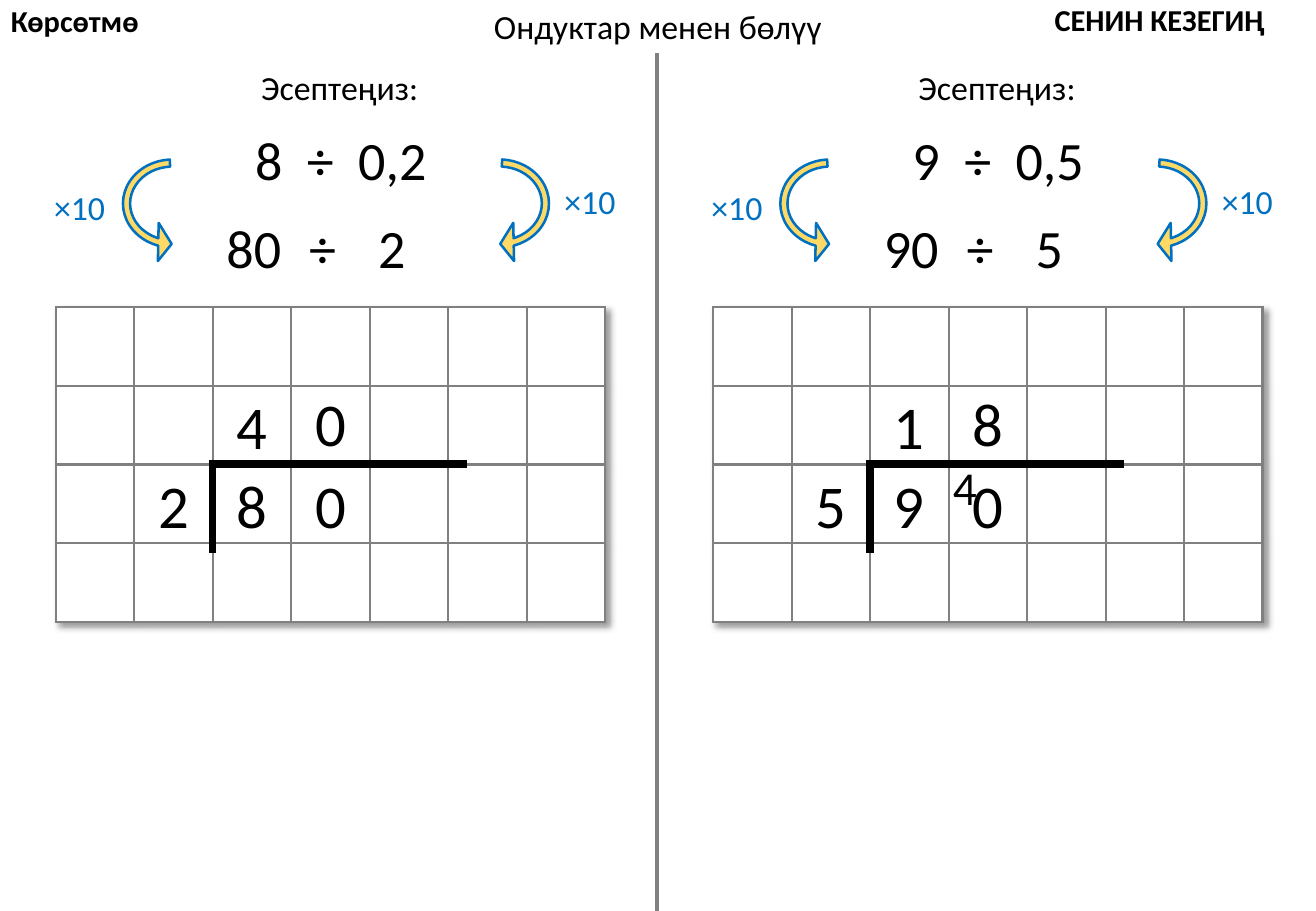
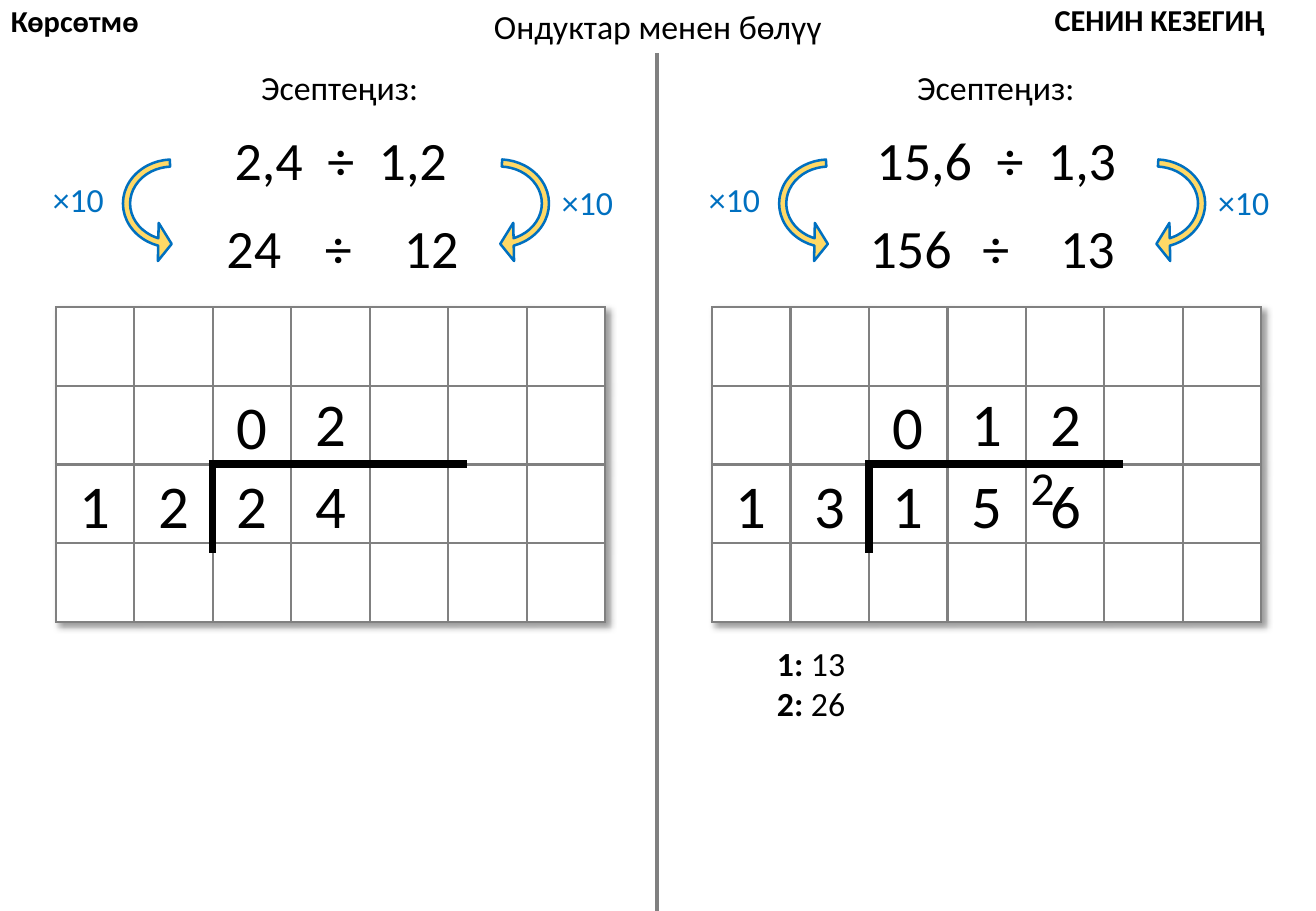
from dataclasses import dataclass

from lxml import etree
from pptx import Presentation
from pptx import util as u
from pptx.dml.color import RGBColor
from pptx.enum import shapes, text as t
from pptx.oxml import parse_xml
from pptx.oxml.ns import nsdecls, qn

PX = 9144  # one hundredth of an inch
BLACK = RGBColor(0, 0, 0)
WHITE = RGBColor(255, 255, 255)
GREY = RGBColor(0x80, 0x80, 0x80)
BLUE = RGBColor(0x00, 0x70, 0xC0)
GOLD = RGBColor(0xFF, 0xD9, 0x66)
FONT = "Calibri"

# Squared grid, relative to its half of the page
COLS, ROWS = 7, 4
GRID_X, GRID_Y, GRID_W, GRID_H = 46, 253, 452, 259
DIGIT_W = 46
BAR_COL = 2  # first column under the division bar
BEND = (0.06, 11.42, 203.85, 110.16, 0.16)
TERM_W = {1: 43, 2: 66, 3: 89}  # box width by number of digits


@dataclass(frozen=True)
class Run:
    text: str
    bold: bool = False
    gap: int = 0  # extra letter spacing, hundredths of a point


@dataclass(frozen=True)
class Half:
    left: int
    sum: str
    width: int  # of the sum's box
    over: str  # dividend
    by: str  # divisor
    quot: str
    terms: tuple[int, int, int]  # lefts of dividend, sign and divisor
    tags: tuple[tuple[int, int], tuple[int, int]]  # places of the x10 labels
    carry: tuple[str, int] | None = None  # digit and column
    facts: tuple[tuple[Run, ...], ...] = ()


TAGS_1 = ((34, 149), (454, 144))
TAGS_2 = ((33, 142), (452, 145))
PAGES = (
    (
        Half(0, "8 ÷ 0,2", 163, "80", "2", "40", (176, 244, 301), TAGS_1),
        Half(541, "9 ÷ 0,5", 163, "90", "5", "18", (176, 244, 301), TAGS_1,
             carry=("4", 3)),
    ),
    (
        Half(0, "2,4 ÷ 1,2", 197, "24", "12", "02", (176, 257, 322), TAGS_2),
        Half(540, "15,6 ÷ 1,3", 220, "156", "13", "012", (165, 258, 322), TAGS_2,
             carry=("2", 4),
             facts=((Run("1:", True), Run(" 13")), (Run("2:", True), Run(" 26")))),
    ),
)


def text(slide, words, x: int, y: int, w: int, h: int, *, size: int = 20,
         color: RGBColor = BLACK, bold: bool = False, align=t.PP_ALIGN.CENTER) -> None:
    """Write a string, or a sequence of paragraphs made of runs."""
    frame = slide.shapes.add_textbox(x * PX, y * PX, w * PX, h * PX).text_frame
    frame.word_wrap = False
    frame.auto_size = t.MSO_AUTO_SIZE.SHAPE_TO_FIT_TEXT
    paras = ((Run(words, bold),),) if isinstance(words, str) else words
    for i, runs in enumerate(paras):
        para = frame.add_paragraph() if i else frame.paragraphs[0]
        para.alignment = align
        for item in runs:
            run = para.add_run()
            run.text = item.text
            font = run.font
            font.name, font.size, font.bold = FONT, u.Pt(size), item.bold
            font.color.rgb = color
            if item.gap:
                run._r.get_or_add_rPr().set("spc", str(item.gap))


def line(slide, x1: int, y1: int, x2: int, y2: int, color: RGBColor, width: float) -> None:
    rule = slide.shapes.add_connector(
        shapes.MSO_CONNECTOR.STRAIGHT, x1 * PX, y1 * PX, x2 * PX, y2 * PX)
    rule.line.color.rgb = color
    rule.line.width = u.Pt(width)
    etree.SubElement(rule._element.spPr, qn("a:effectLst"))


def arrow(slide, x: int, flip: bool) -> None:
    bow = slide.shapes.add_shape(
        shapes.MSO_SHAPE.CIRCULAR_ARROW, x * PX, 114 * PX, 98 * PX, 107 * PX)
    for i, value in enumerate(BEND):
        bow.adjustments[i] = value
    bow.rotation = 90
    if flip:
        bow._element.spPr.find(qn("a:xfrm")).set("flipV", "1")
    bow.shadow.inherit = False
    bow.fill.solid()
    bow.fill.fore_color.rgb = GOLD
    bow.line.color.rgb = BLUE
    bow.line.width = u.Pt(1.5)


def grid(slide, left: int) -> None:
    table = slide.shapes.add_table(
        ROWS, COLS, (left + GRID_X) * PX, GRID_Y * PX, GRID_W * PX, GRID_H * PX).table
    table.first_row = table.horz_banding = False
    table._tbl.tblPr.insert(0, parse_xml(
        f'<a:effectLst {nsdecls("a")}><a:outerShdw blurRad="50800" dist="38100" '
        'dir="2700000" algn="tl" rotWithShape="0"><a:srgbClr val="000000">'
        '<a:alpha val="40000"/></a:srgbClr></a:outerShdw></a:effectLst>'))
    for cell in table.iter_cells():
        cell.fill.solid()
        cell.fill.fore_color.rgb = WHITE
        props = cell._tc.get_or_add_tcPr()
        for i, side in enumerate("LRTB"):
            props.insert(i, parse_xml(
                f'<a:ln{side} {nsdecls("a")} w="{u.Pt(1.5)}"><a:solidFill>'
                f'<a:srgbClr val="{GREY}"/></a:solidFill></a:ln{side}>'))


def col_x(col: int) -> int:
    """Left of a digit box centred in a grid column."""
    return round(GRID_X + GRID_W / COLS * (col + 0.5) - DIGIT_W / 2)


def digits(slide, left: int, number: str, first: int, y: int) -> None:
    for col, digit in enumerate(number, first):
        text(slide, digit, left + col_x(col), y, DIGIT_W, 71, size=36)


def half(slide, h: Half) -> None:
    left = h.left
    # Long division
    grid(slide, left)
    line(slide, left + 172, 382, left + 384, 382, BLACK, 4.5)
    line(slide, left + 175, 381, left + 175, 455, BLACK, 4.5)
    digits(slide, left, h.by, BAR_COL - len(h.by), 380)
    digits(slide, left, h.over, BAR_COL, 380)
    digits(slide, left, h.quot[0], BAR_COL, 315)
    digits(slide, left, h.quot[1:], BAR_COL + 1, 313)
    if h.carry:
        digit, col = h.carry
        text(slide, digit, left + col_x(col) - 16, 372, 40, 57, size=28)
    # Sum and its whole-number form
    text(slide, "Эсептеңиз:", left + 204, 50, 151, 44)
    first, sign, last = h.sum.split()
    wide = Run(" ", gap=720)
    text(slide, ((Run(first), wide, Run(sign), wide, Run(last)),),
         left + 280 - h.width // 2, 99, h.width, 64, size=32)
    for term, x in zip((h.over, sign, h.by), h.terms):
        text(slide, term, left + x, 172, TERM_W[len(term)], 64, size=32)
    # Arrows with their labels
    arrow(slide, left + 362, False)
    arrow(slide, left + 93, True)
    for x, y in h.tags:
        text(slide, "×10", left + x, y, 63, 44, color=BLUE)
    if h.facts:
        text(slide, h.facts, left + 89, 524, 77, 77)


def main() -> None:
    deck = Presentation()
    deck.slide_width, deck.slide_height = 1083 * PX, 750 * PX
    for page in PAGES:
        slide = deck.slides.add_slide(deck.slide_layouts[6])
        # Shared heading and divider
        line(slide, 541, 44, 541, 750, GREY, 2.25)
        text(slide, "Ондуктар менен бөлүү", 395, 0, 293, 44)
        text(slide, "Көрсөтмө", -1, -3, 138, 71, size=18, bold=True,
             align=t.PP_ALIGN.LEFT)
        text(slide, "СЕНИН КЕЗЕГИҢ", 858, -4, 227, 40, size=18, bold=True,
             align=t.PP_ALIGN.LEFT)
        for part in page:
            half(slide, part)
    deck.save("out.pptx")


if __name__ == "__main__":
    main()
